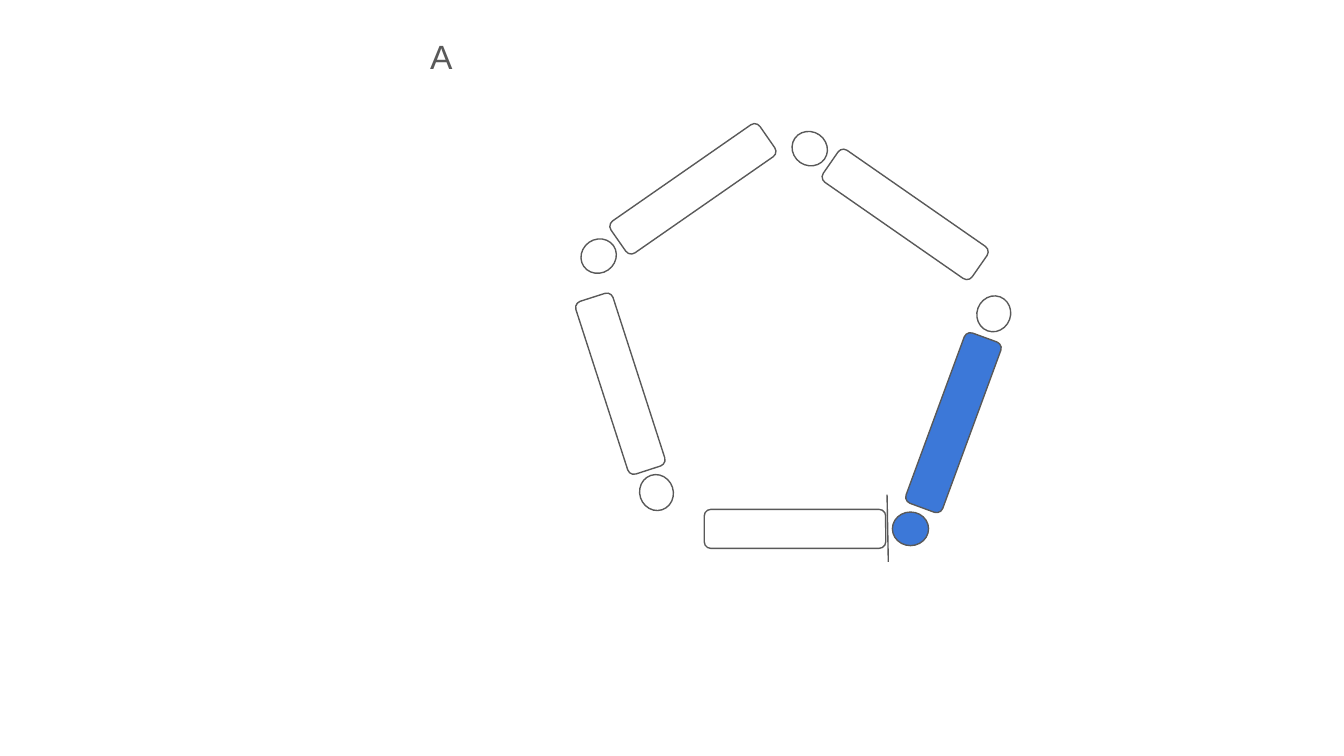
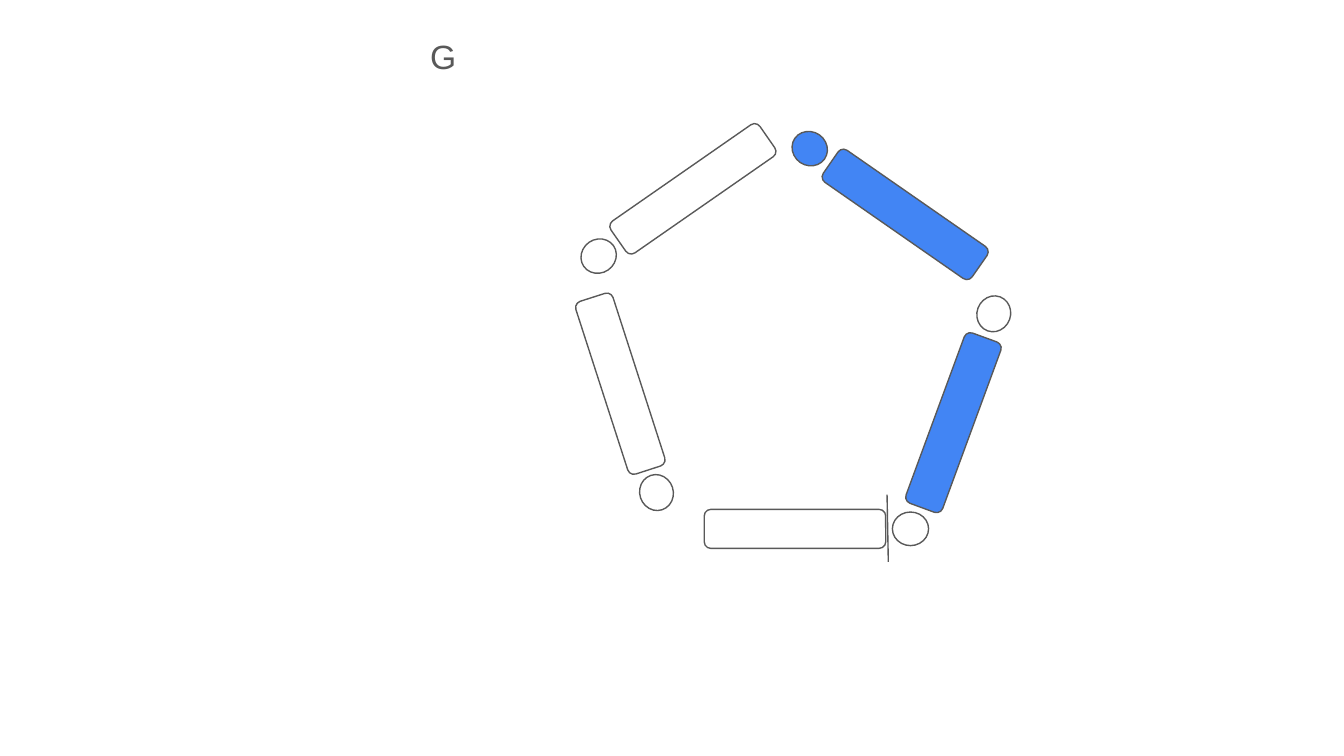
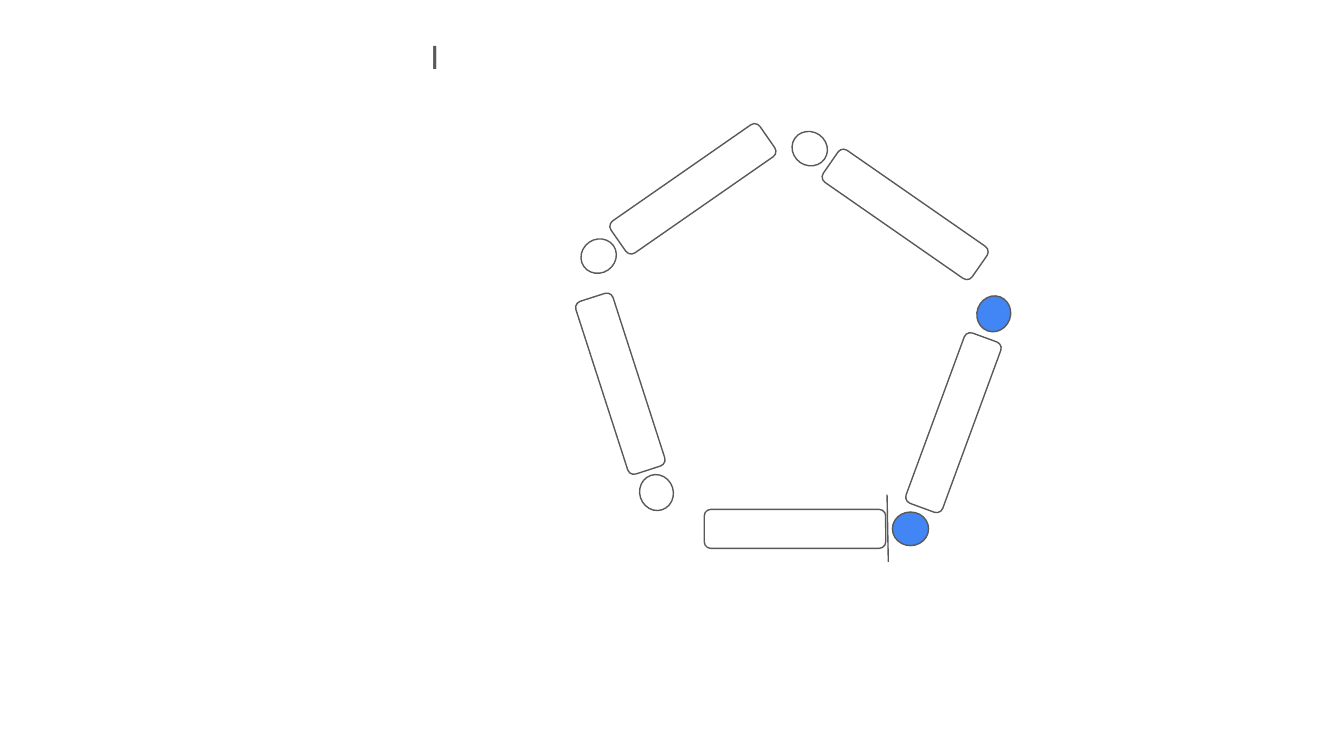
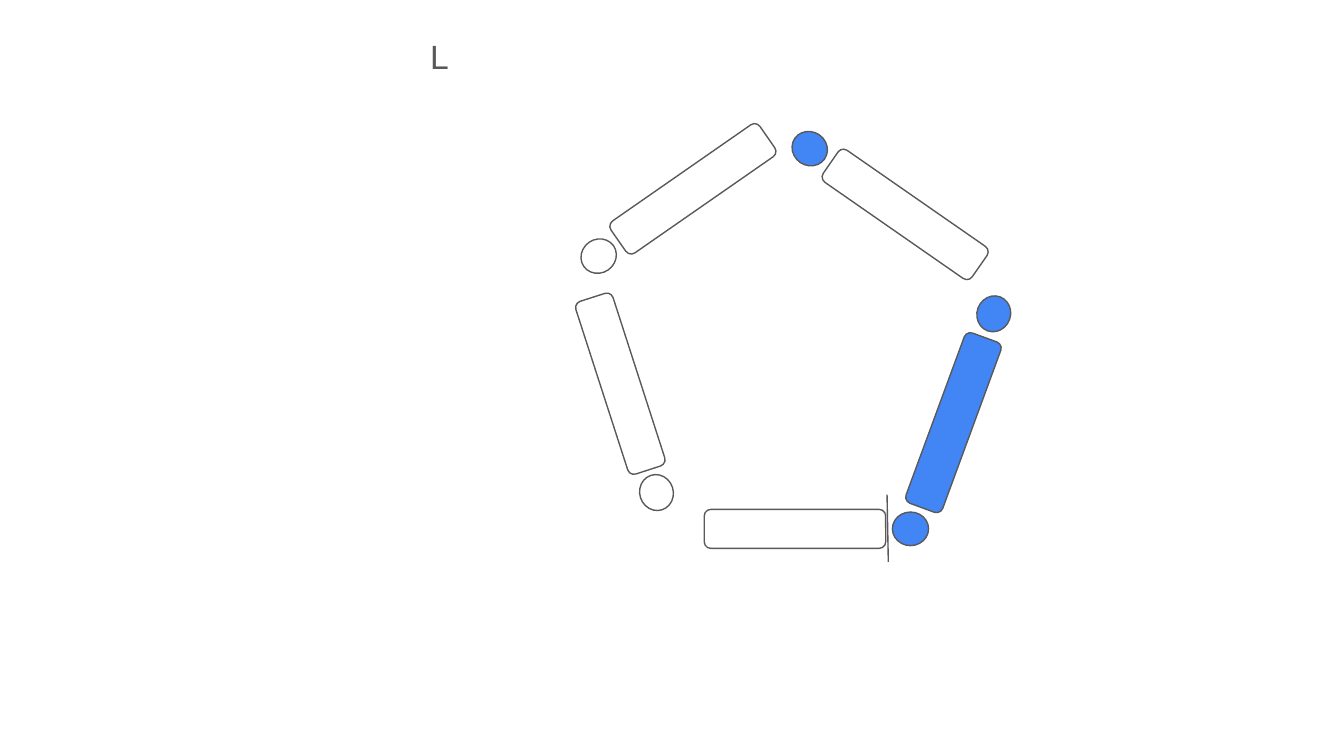
import pptx
import pptx.dml.color
import pptx.enum.shapes
import pptx.enum.text
import pptx.util
from lxml import etree
from pptx.oxml.ns import qn

Pt = pptx.util.Pt
MSO_SHAPE = pptx.enum.shapes.MSO_SHAPE

COLORS = {"white": "FFFFFF", "gray": "595959", "blue": "3C78D8", "bright blue": "4285F4"}
FONT = "Arial"

LETTERS = [
    {"letter": "A", "accent": "blue", "bars": ["right"], "dots": ["bottom"]},
    {"letter": "G", "accent": "bright blue", "bars": ["right", "upper right"], "dots": ["upper right"]},
    {"letter": "I", "accent": "bright blue", "bars": [], "dots": ["bottom", "right"]},
    {"letter": "L", "accent": "bright blue", "bars": ["right"], "dots": ["bottom", "right", "upper right"]},
]

SIDES = [
    ("bottom", 0, (377.3, 272.9), (478.1, 274.3)),
    ("right", 290.2, (462.2, 216), (522.7, 159.1)),
    ("upper right", 214.8, (436.3, 104.4), (424.1, 70.6)),
    ("left", 72.1, (283.7, 195.1), (342, 254.9)),
    ("upper left", 145.2, (322.6, 90.7), (311, 128.2)),
]

BAR_SIZE = (97.2, 20.9)
DOT_SIZE = (19.4, 18)
START_MARK = (475.2, 265, 475.9, 301)
TITLE_BOX = (223.2, 12.2, 288, 36)
TITLE_INSET = 7.2
LINE_WIDTH = 0.75


def rgb(name):
    return pptx.dml.color.RGBColor.from_string(COLORS[name])


def outline(line):
    line.color.rgb = rgb("gray")
    line.width = Pt(LINE_WIDTH)


def add_part(slide, kind, position, size, rotation, color):
    shape = slide.shapes.add_shape(kind, *map(Pt, position + size))
    shape.rotation = rotation
    shape.shadow.inherit = False
    shape.fill.solid()
    shape.fill.fore_color.rgb = rgb(color)
    outline(shape.line)
    return shape


def add_pentagon(slide, accent, bars, dots):
    for side, rotation, bar_position, dot_position in SIDES:
        bar_color = accent if side in bars else "white"
        dot_color = accent if side in dots else "white"
        bar = add_part(slide, MSO_SHAPE.ROUNDED_RECTANGLE, bar_position, BAR_SIZE, rotation, bar_color)
        bar.adjustments[0] = 0.167
        add_part(slide, MSO_SHAPE.OVAL, dot_position, DOT_SIZE, rotation, dot_color)


def add_start_mark(slide):
    connector = slide.shapes.add_connector(
        pptx.enum.shapes.MSO_CONNECTOR.STRAIGHT, *map(Pt, START_MARK))
    outline(connector.line)
    etree.SubElement(connector._element.spPr, qn("a:effectLst"))


def set_title(slide, letter):
    title = slide.shapes.title
    title.left, title.top, title.width, title.height = map(Pt, TITLE_BOX)
    frame = title.text_frame
    frame.text = letter
    frame.word_wrap = True
    frame.auto_size = pptx.enum.text.MSO_AUTO_SIZE.SHAPE_TO_FIT_TEXT
    frame.vertical_anchor = pptx.enum.text.MSO_ANCHOR.TOP
    frame.margin_left = frame.margin_right = Pt(TITLE_INSET)
    frame.margin_top = frame.margin_bottom = Pt(TITLE_INSET)
    paragraph = frame.paragraphs[0]
    paragraph.alignment = pptx.enum.text.PP_ALIGN.LEFT
    paragraph.font.name = FONT
    paragraph.font.size = Pt(18)
    paragraph.font.color.rgb = rgb("gray")


def main():
    presentation = pptx.Presentation()
    presentation.slide_width = Pt(720)
    presentation.slide_height = Pt(405)
    for entry in LETTERS:
        slide = presentation.slides.add_slide(presentation.slide_layouts[5])
        set_title(slide, entry["letter"])
        add_pentagon(slide, entry["accent"], entry["bars"], entry["dots"])
        add_start_mark(slide)
    presentation.save("out.pptx")


if __name__ == "__main__":
    main()
